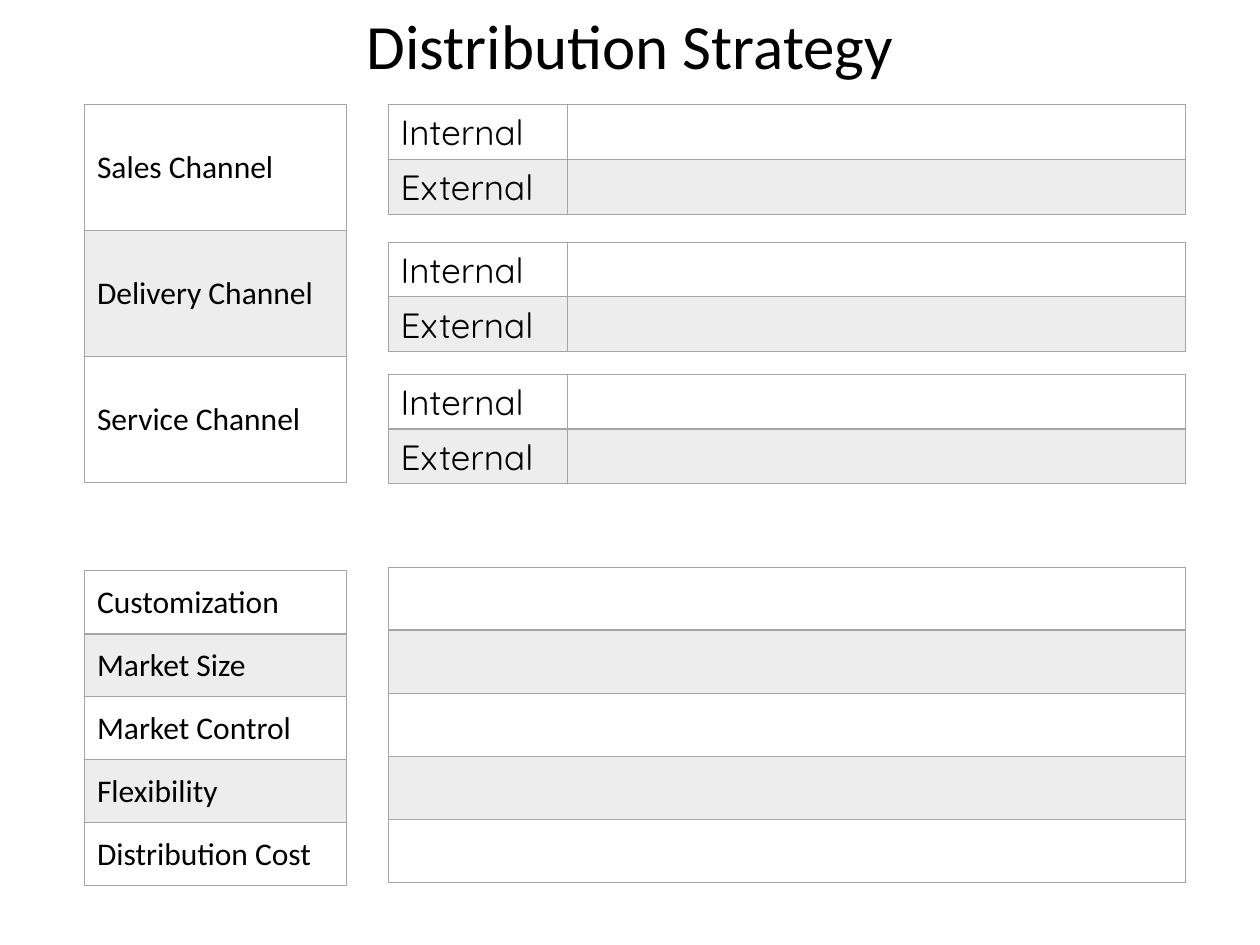
from pptx import Presentation
from pptx.dml.color import RGBColor
from pptx.enum.text import MSO_ANCHOR, MSO_AUTO_SIZE, PP_ALIGN
from pptx.oxml.ns import qn
from pptx.util import Inches, Pt
from lxml import etree

MIDDLE = MSO_ANCHOR.MIDDLE
TOP = MSO_ANCHOR.TOP
FIT_SHAPE = MSO_AUTO_SIZE.SHAPE_TO_FIT_TEXT
CENTER = PP_ALIGN.CENTER

INK = "000000"
GRAY = "A5A5A5"
BAND_OPACITY = 20
THIN, THICK = 0.45, 0.96

CHANNELS = ["Sales Channel", "Delivery Channel", "Service Channel"]
CHANNEL_TOPS = [0.83, 1.92, 2.97]
ROUTES = ["Internal", "External"]
FACTORS = ["Customization", "Market Size", "Market Control", "Flexibility", "Distribution Cost"]
LABEL_LEFT, LABEL_WIDTH = 0.67, 2.08
ENTRY_LEFT, ENTRY_WIDTH = 3.08, 6.33
ROUTE_WIDTH = 1.42


def color(value):
    return RGBColor.from_string(value)


def add_span(para, text, font_name, size):
    span = para.add_run()
    span.text = text
    span.font.name = font_name
    span.font.size = Pt(size)
    span.font.color.rgb = color(INK)


def set_border(cell, side, width):
    properties = cell._tc.get_or_add_tcPr()
    line = etree.SubElement(properties, qn(f"a:ln{side}"), w=str(Pt(width)))
    fill = etree.SubElement(line, qn("a:solidFill"))
    etree.SubElement(fill, qn("a:srgbClr"), val=GRAY)


def fill_band(cell):
    cell.fill.solid()
    cell.fill.fore_color.rgb = color(GRAY)
    shade = cell._tc.tcPr.find(qn("a:solidFill")).find(qn("a:srgbClr"))
    etree.SubElement(shade, qn("a:alpha"), val=str(BAND_OPACITY * 1000))


def style_cell(cell, row):
    borders = {
        "L": THIN,
        "R": THIN,
        "T": THICK if row == 1 else THIN,
        "B": THICK if row == 0 else THIN,
    }
    for side, width in borders.items():
        set_border(cell, side, width)
    if row % 2:
        fill_band(cell)
    else:
        cell.fill.background()


def add_grid(page, box, columns, labels, font_name="Calibri", size=18, anchor=MIDDLE):
    left, top, width, height = box
    frame = page.shapes.add_table(
        len(labels), len(columns), Inches(left), Inches(top), Inches(width), Inches(height)
    )
    grid = frame.table
    grid.first_row = False
    grid.horz_banding = False
    for column, column_width in zip(grid.columns, columns):
        column.width = Inches(column_width)
    for row, label in enumerate(labels):
        grid.rows[row].height = Inches(height / len(labels))
        for cell in grid.rows[row].cells:
            style_cell(cell, row)
        if label:
            cell = grid.cell(row, 0)
            cell.vertical_anchor = anchor
            add_span(cell.text_frame.paragraphs[0], label, font_name, size)


def add_title(page, box):
    title = page.shapes.add_textbox(*map(Inches, box))
    title.text_frame.word_wrap = True
    title.text_frame.auto_size = FIT_SHAPE
    para = title.text_frame.paragraphs[0]
    para.alignment = CENTER
    add_span(para, "Distribution Strategy", "Calibri", 36)


def add_channels(page, top):
    add_grid(page, (LABEL_LEFT, top, LABEL_WIDTH, 3), [LABEL_WIDTH], CHANNELS)
    columns = [ROUTE_WIDTH, ENTRY_WIDTH - ROUTE_WIDTH]
    for channel_top in CHANNEL_TOPS:
        box = (ENTRY_LEFT, channel_top, ENTRY_WIDTH, 0.87)
        add_grid(page, box, columns, ROUTES, "Quicksand", 20, TOP)


def add_factors(page, top):
    add_grid(page, (LABEL_LEFT, top + 0.03, LABEL_WIDTH, 2.5), [LABEL_WIDTH], FACTORS)
    add_grid(page, (ENTRY_LEFT, top, ENTRY_WIDTH, 2.5), [ENTRY_WIDTH], [""] * len(FACTORS))


def main():
    deck = Presentation()
    deck.slide_width = Inches(10)
    deck.slide_height = Inches(7.5)
    page = deck.slides.add_slide(deck.slide_layouts[6])
    add_title(page, (0, 0, 10, 0.7))
    add_channels(page, CHANNEL_TOPS[0])
    add_factors(page, 4.5)
    deck.save("out.pptx")


if __name__ == "__main__":
    main()
